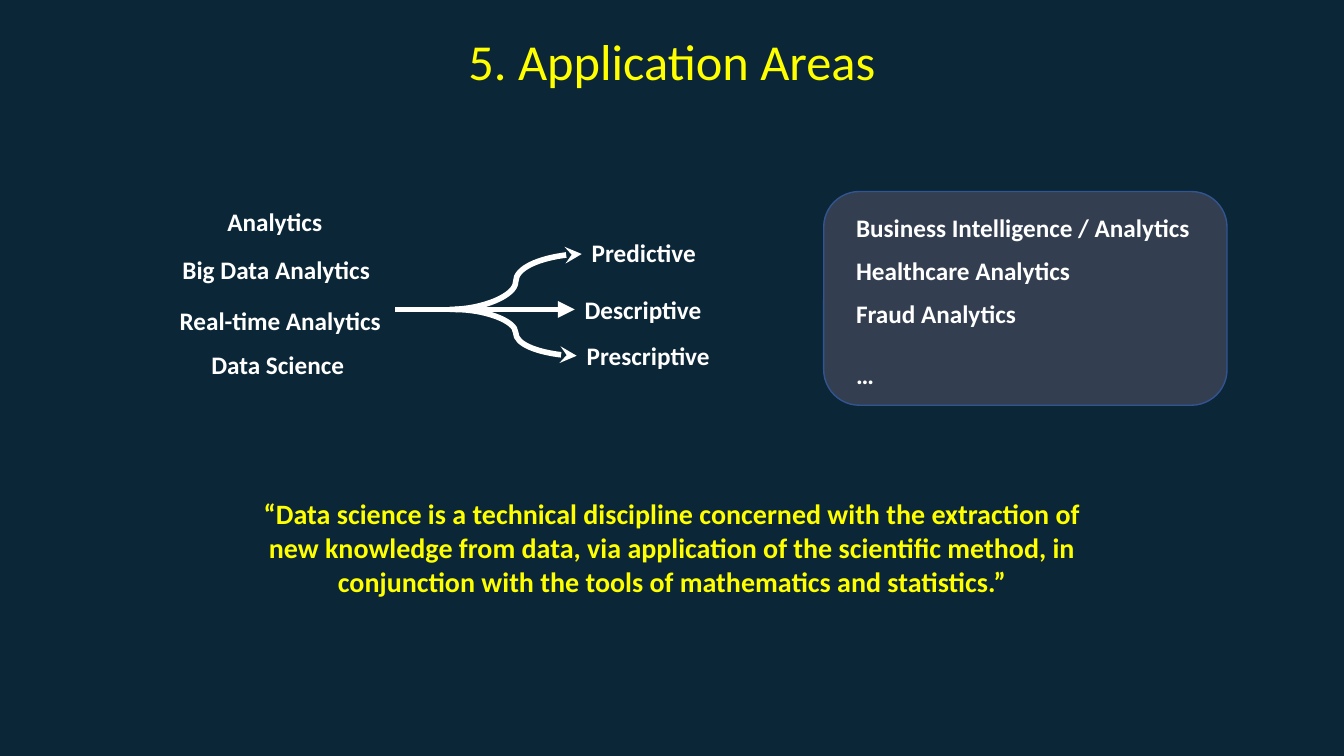
from dataclasses import dataclass

from lxml.etree import SubElement
from pptx import Presentation
from pptx.dml.color import RGBColor
from pptx.enum.shapes import MSO_CONNECTOR as Connector, MSO_SHAPE as Shape
from pptx.enum.text import MSO_ANCHOR as Anchor, MSO_AUTO_SIZE as AutoSize, PP_ALIGN as Align
from pptx.oxml import parse_xml
from pptx.oxml.ns import nsdecls, qn
from pptx.util import Inches, Pt


@dataclass(frozen=True)
class Theme:
    font: str = "Calibri"
    background: RGBColor = RGBColor(0x0B, 0x26, 0x37)
    panel: RGBColor = RGBColor(0x33, 0x3F, 0x50)
    panel_border: RGBColor = RGBColor(0x32, 0x54, 0x91)
    accent: RGBColor = RGBColor(0xFF, 0xFF, 0x00)
    light: RGBColor = RGBColor(0xFF, 0xFF, 0xFF)
    title_size: Pt = Pt(36)
    quote_size: Pt = Pt(20)
    label_size: Pt = Pt(18)
    arrow_width: Pt = Pt(4)


@dataclass(frozen=True)
class Label:
    text: str
    left: float
    top: float
    width: float


@dataclass(frozen=True)
class Branch:
    kind: Connector
    start_x: float
    end_x: float
    end_y: float
    head: str | None = None


THEME = Theme()
STEM_Y = 3.07

TERMS = [
    Label("Analytics", 2.15, 1.85, 1.15),
    Label("Big Data Analytics", 1.67, 2.32, 2.14),
    Label("Real-time Analytics", 1.67, 2.83, 2.22),
    Label("Data Science", 1.99, 3.27, 1.53),
]
KINDS = [
    Label("Predictive", 5.77, 2.31, 1.24),
    Label("Descriptive", 5.7, 2.87, 1.37),
    Label("Prescriptive", 5.72, 3.33, 1.43),
]
BRANCHES = [
    Branch(Connector.STRAIGHT, 3.92, 5.27, STEM_Y),
    Branch(Connector.CURVE, 4.46, 5.77, 2.52, "stealth"),
    Branch(Connector.CURVE, 4.51, 5.72, 3.53, "stealth"),
    Branch(Connector.STRAIGHT, 4.49, 5.7, STEM_Y, "triangle"),
]
# Each area with the space before it, in points
AREAS = [
    ("Business Intelligence / Analytics", 0),
    ("Healthcare Analytics", 9),
    ("Fraud Analytics", 9),
    ("…", 22),
]
QUOTE = (
    "“Data science is a technical discipline concerned with the extraction of "
    "new knowledge from data, via application of the scientific method, in "
    "conjunction with the tools of mathematics and statistics.”"
)


def place(shape, left: float, top: float, width: float, height: float) -> None:
    shape.left, shape.top = Inches(left), Inches(top)
    shape.width, shape.height = Inches(width), Inches(height)


def format_text(text_frame, size: Pt, color: RGBColor, align: Align, bold: bool = True) -> None:
    for paragraph in text_frame.paragraphs:
        paragraph.alignment = align
        for run in paragraph.runs:
            run.font.name = THEME.font
            run.font.size = size
            run.font.bold = bold
            run.font.color.rgb = color


def add_title(slide) -> None:
    title = slide.shapes.title
    place(title, 3.52, 0.25, 6.29, 0.7)
    text_frame = title.text_frame
    text_frame.text = "5. Application Areas"
    text_frame.vertical_anchor = Anchor.MIDDLE
    text_frame.auto_size = AutoSize.NONE
    format_text(text_frame, THEME.title_size, THEME.accent, Align.CENTER, bold=False)
    # Soft shadow behind the letters
    fill = text_frame.paragraphs[0].runs[0].font.fill
    fill.solid()
    fill.fore_color.rgb = THEME.accent
    properties = text_frame.paragraphs[0].runs[0].font._element
    properties.find(qn("a:solidFill")).addnext(parse_xml(
        f'<a:effectLst {nsdecls("a")}><a:outerShdw blurRad="38100" dist="38100" dir="2700000" '
        'algn="tl"><a:srgbClr val="000000"><a:alpha val="43000"/></a:srgbClr>'
        '</a:outerShdw></a:effectLst>'))


def add_panel(slide) -> None:
    panel = slide.shapes.add_shape(
        Shape.ROUNDED_RECTANGLE, Inches(8.17), Inches(1.9), Inches(4), Inches(2.12))
    panel.shadow.inherit = False
    panel.fill.solid()
    panel.fill.fore_color.rgb = THEME.panel
    panel.line.color.rgb = THEME.panel_border
    panel.line.width = Pt(1)
    # Send behind the placeholders
    panel.element.getparent().insert(2, panel.element)


def add_areas(slide) -> None:
    body = slide.placeholders[1]
    place(body, 8.39, 2.06, 3.6, 1.87)
    text_frame = body.text_frame
    text_frame.text = "\n".join(name for name, _ in AREAS)
    text_frame.auto_size = AutoSize.NONE
    format_text(text_frame, THEME.label_size, THEME.light, Align.LEFT)
    for paragraph, (_, gap) in zip(text_frame.paragraphs, AREAS):
        paragraph.space_before = Pt(gap)
        properties = paragraph._p.get_or_add_pPr()
        properties.set("marL", "0")
        properties.set("indent", "0")
        SubElement(properties, qn("a:buNone"))


def add_label(slide, label: Label, align: Align, height: float, spacing: float) -> None:
    box = slide.shapes.add_textbox(
        Inches(label.left), Inches(label.top), Inches(label.width), Inches(height))
    text_frame = box.text_frame
    text_frame.text = label.text
    text_frame.word_wrap = False
    text_frame.auto_size = AutoSize.SHAPE_TO_FIT_TEXT
    text_frame.paragraphs[0].line_spacing = spacing
    format_text(text_frame, THEME.label_size, THEME.light, align)


def add_branch(slide, branch: Branch) -> None:
    connector = slide.shapes.add_connector(
        branch.kind, Inches(branch.start_x), Inches(STEM_Y),
        Inches(branch.end_x), Inches(branch.end_y))
    connector.line.color.rgb = THEME.light
    connector.line.width = THEME.arrow_width
    if branch.head:
        SubElement(connector.line._get_or_add_ln(), qn("a:tailEnd"), type=branch.head)
    SubElement(connector.element.spPr, qn("a:effectLst"))


def add_quote(slide) -> None:
    box = slide.shapes.add_textbox(Inches(2.49), Inches(4.88), Inches(8.35), Inches(1.11))
    box.text_frame.word_wrap = True
    box.text_frame.text = QUOTE
    format_text(box.text_frame, THEME.quote_size, THEME.accent, Align.CENTER)


def main() -> None:
    presentation = Presentation()
    presentation.slide_width, presentation.slide_height = Inches(13.33), Inches(7.5)
    slide = presentation.slides.add_slide(presentation.slide_layouts[1])
    slide.background.fill.solid()
    slide.background.fill.fore_color.rgb = THEME.background

    add_title(slide)

    # Application areas
    add_panel(slide)
    add_areas(slide)

    # Terms branching into kinds of analytics
    for term in TERMS:
        add_label(slide, term, Align.CENTER, height=0.51, spacing=1.5)
    for kind in KINDS:
        add_label(slide, kind, Align.LEFT, height=0.4, spacing=1.0)
    for branch in BRANCHES:
        add_branch(slide, branch)

    add_quote(slide)
    presentation.save("out.pptx")


if __name__ == "__main__":
    main()
